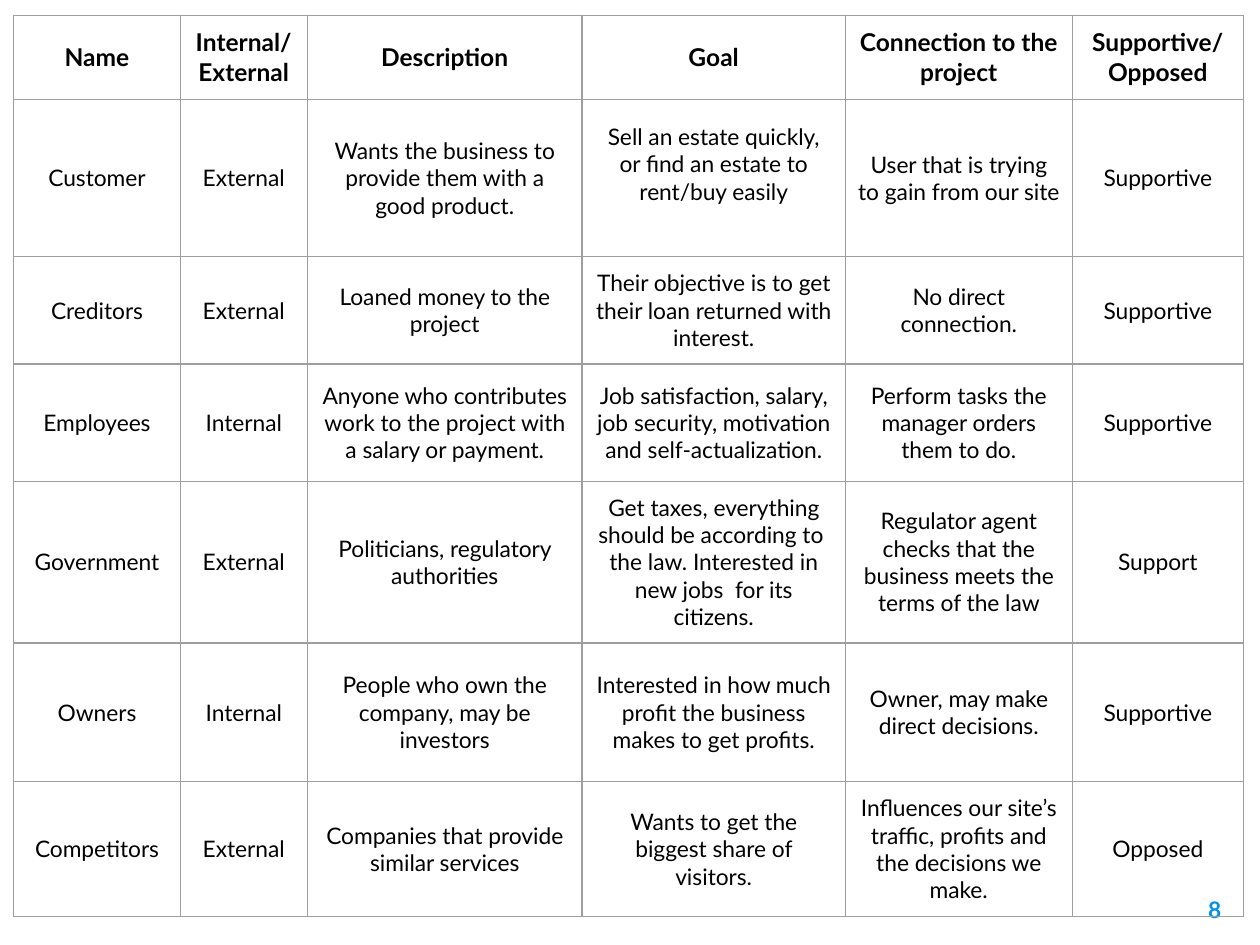
from lxml import etree
from pptx import Presentation
from pptx.dml.color import RGBColor
from pptx.enum.text import MSO_ANCHOR, PP_ALIGN
from pptx.oxml.ns import qn
from pptx.util import Inches, Pt

CENTER, RIGHT = PP_ALIGN.CENTER, PP_ALIGN.RIGHT
MIDDLE = MSO_ANCHOR.MIDDLE
FONT = "Lato"
COLORS = {"text": "000000", "border": "9E9E9E", "page_number": "0091EA"}
MARGIN = 0.1

COLUMN_WIDTHS = [1.32, 1.01, 2.18, 2.09, 1.8, 1.36]
ROW_HEIGHTS = [0.65, 1.25, 0.78, 0.93, 1.1, 1.1, 0.91]
STAKEHOLDERS = [
    ["Name", "Internal/\nExternal", "Description", "Goal",
     "Connection to the project", "Supportive/\nOpposed"],
    ["Customer", "External",
     "Wants the business to provide them with a good product.",
     "Sell an estate quickly, or find an estate to rent/buy easily",
     "User that is trying to gain from our site", "Supportive"],
    ["Creditors", "External", "Loaned money to the project",
     "Their objective is to get their loan returned with interest.",
     "No direct connection.", "Supportive"],
    ["Employees", "Internal",
     "Anyone who contributes work to the project with a salary or payment.",
     "Job satisfaction, salary, job security, motivation and self-actualization.",
     "Perform tasks the manager orders them to do.", "Supportive"],
    ["Government", "External", "Politicians, regulatory authorities",
     "Get taxes, everything should be according to  the law. "
     "Interested in new jobs  for its citizens.",
     "Regulator agent checks that the business meets the terms of the law",
     "Support"],
    ["Owners", "Internal", "People who own the company, may be investors",
     "Interested in how much profit the business makes to get profits.",
     "Owner, may make direct decisions.", "Supportive"],
    ["Competitors", "External", "Companies that provide similar services",
     "Wants to get the biggest share of visitors.",
     "Influences our site’s traffic, profits and the decisions we make.",
     "Opposed"],
]


def set_margins(target):
    """Give a cell or a text frame the same inset on every side."""
    target.margin_left = target.margin_right = Inches(MARGIN)
    target.margin_top = target.margin_bottom = Inches(MARGIN)


def write_text(text_frame, text, size, color, bold, alignment):
    text_frame.text = text
    for paragraph in text_frame.paragraphs:
        paragraph.alignment = alignment
        for run in paragraph.runs:
            run.font.name = FONT
            run.font.size = Pt(size)
            run.font.bold = bold
            run.font.color.rgb = RGBColor.from_string(COLORS[color])


def set_borders(cell):
    """Draw the four cell borders, which must precede the fill in the XML."""
    properties = cell._tc.get_or_add_tcPr()
    for index, side in enumerate(("a:lnL", "a:lnR", "a:lnT", "a:lnB")):
        line = etree.Element(qn(side), w=str(Pt(0.75)))
        fill = etree.SubElement(line, qn("a:solidFill"))
        etree.SubElement(fill, qn("a:srgbClr"), val=COLORS["border"])
        properties.insert(index, line)


def add_page_number(slide, number):
    shape = slide.shapes.add_textbox(
        Inches(9.19), Inches(6.93), Inches(0.6), Inches(0.57))
    text_frame = shape.text_frame
    text_frame.word_wrap = True
    text_frame.vertical_anchor = MIDDLE
    set_margins(text_frame)
    write_text(text_frame, number, 13, "page_number", True, RIGHT)


def add_stakeholder_table(slide):
    table = slide.shapes.add_table(
        len(ROW_HEIGHTS), len(COLUMN_WIDTHS), Inches(0.11), Inches(0.12),
        Inches(sum(COLUMN_WIDTHS)), Inches(sum(ROW_HEIGHTS))).table
    table.first_row = table.horz_banding = False
    for column, width in zip(table.columns, COLUMN_WIDTHS):
        column.width = Inches(width)
    for row_index, (row, height) in enumerate(zip(table.rows, ROW_HEIGHTS)):
        row.height = Inches(height)
        is_header = row_index == 0
        for cell, text in zip(row.cells, STAKEHOLDERS[row_index]):
            cell.fill.background()
            cell.vertical_anchor = MIDDLE
            set_margins(cell)
            set_borders(cell)
            write_text(cell.text_frame, text, 14 if is_header else 13,
                       "text", is_header, CENTER)
    # The customer's goal sits one half line above the middle
    table.cell(1, 3).margin_bottom = Inches(MARGIN + 0.22)


def main():
    presentation = Presentation()
    presentation.slide_width = Inches(10)
    presentation.slide_height = Inches(7.5)
    slide = presentation.slides.add_slide(presentation.slide_layouts[6])

    # Page number lies behind the unfilled table
    add_page_number(slide, "8")
    add_stakeholder_table(slide)

    presentation.save("out.pptx")


if __name__ == "__main__":
    main()
